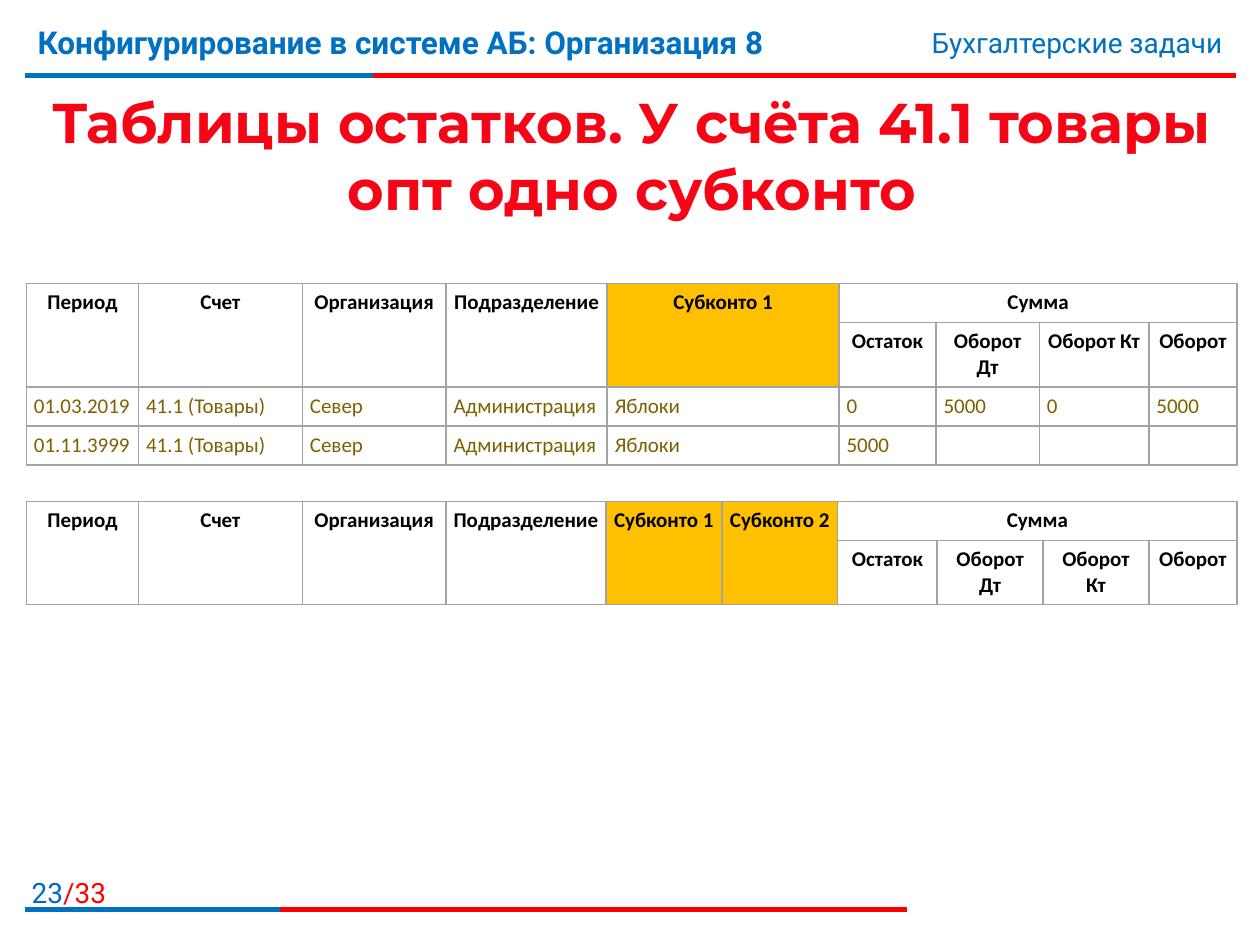
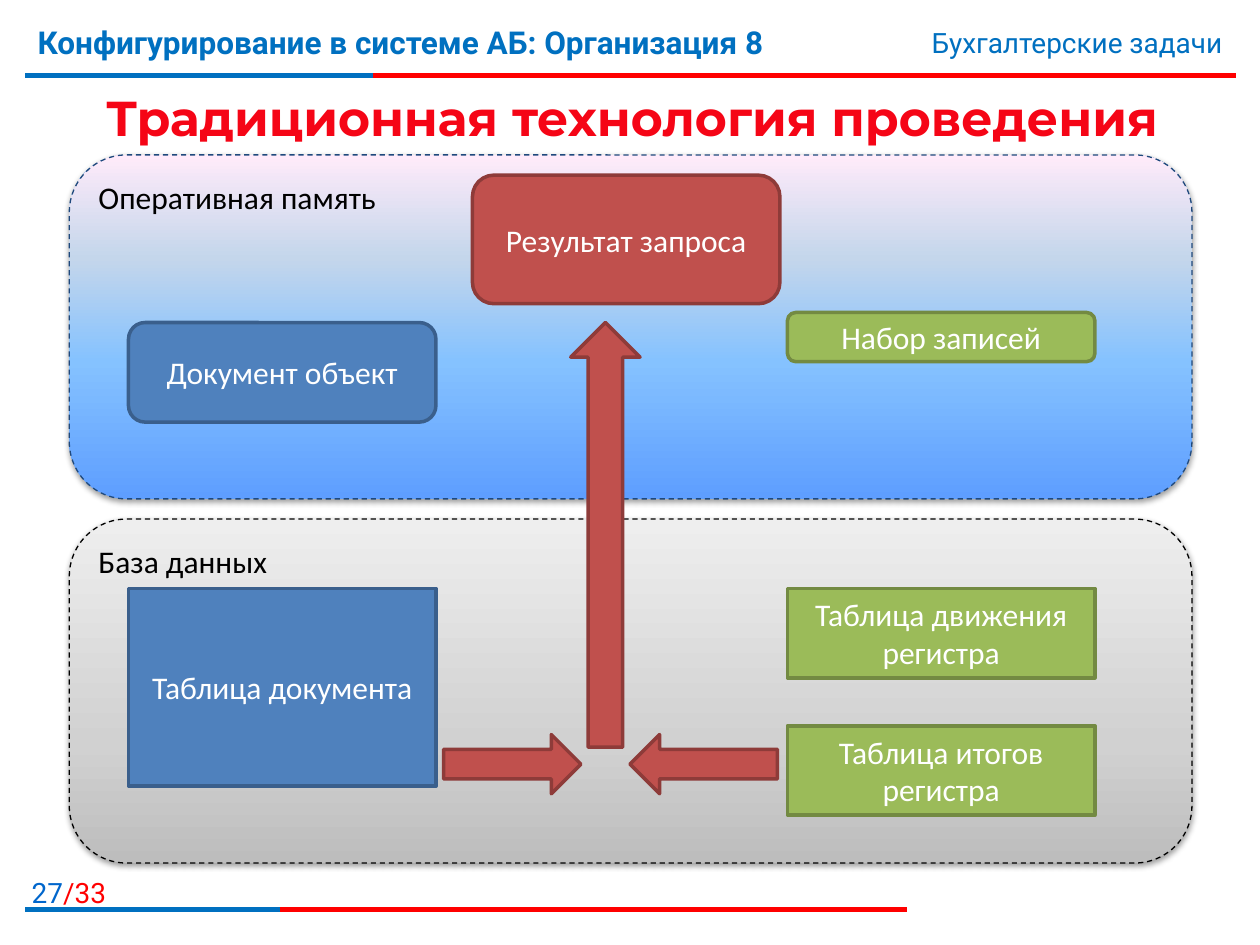
from dataclasses import dataclass

from lxml.etree import SubElement
from pptx import Presentation
from pptx.dml.color import RGBColor
from pptx.enum.dml import MSO_LINE
from pptx.enum.shapes import MSO_CONNECTOR, MSO_SHAPE
from pptx.enum.text import MSO_ANCHOR, PP_ALIGN
from pptx.oxml import parse_xml
from pptx.oxml.ns import nsdecls, qn
from pptx.util import Inches, Pt


@dataclass(frozen=True)
class Theme:
    blue: str = "0070C0"
    page_blue: str = "0066CC"
    red: str = "FF0000"
    title: str = "F50516"
    black: str = "000000"
    white: str = "FFFFFF"
    gold: str = "FFC000"
    data: str = "7F6000"
    border: str = "A3A3A3"
    navy: str = "1F497D"
    # fill and outline of the diagram blocks
    document: tuple = ("4F81BD", "3A5F8C")
    query: tuple = ("C0504D", "8E3B39")
    register: tuple = ("9BBB59", "738A42")
    # gradient stops, from the bottom up
    memory: tuple = ((0, "5E9EFF"), (40, "85C2FF"), (70, "C4D6EB"), (100, "FFEBFA"))
    database: tuple = ((0, "BDBDBD"), (35, "D1D1D1"), (100, "EEEEEE"))
    title_font: str = "Montserrat"
    head_font: str = "Roboto"
    body_font: str = "Calibri"
    head_size: int = 18
    small_size: int = 16
    body_size: int = 18
    table_size: int = 12


T = Theme()
PAGES = 33
CELL_PAD_X, CELL_PAD_Y = 0.06, 0.05
HEAD_ROWS = (0.31, 0.51)
DATA_ROW = 0.31
ACCOUNT_HEADS = ("Период", "Счет", "Организация", "Подразделение")
SUM_HEADS = ("Остаток", "Оборот Дт", "Оборот Кт", "Оборот")


def rgb(color):
    return RGBColor.from_string(color)


def box(x, y, w, h):
    return Inches(x), Inches(y), Inches(w), Inches(h)


def add_run(p, text, font, size, color, bold=False):
    r = p.add_run()
    r.text = text
    r.font.name, r.font.size, r.font.bold = font, Pt(size), bold
    r.font.color.rgb = rgb(color)


def add_text(s, place, runs, align=PP_ALIGN.LEFT, anchor=MSO_ANCHOR.TOP):
    """Each run is (text, font, size, colour[, bold])."""
    tf = s.shapes.add_textbox(*box(*place)).text_frame
    tf.word_wrap = True
    tf.vertical_anchor = anchor
    p = tf.paragraphs[0]
    p.alignment = align
    for run in runs:
        add_run(p, *run)


def add_rule(s, x1, x2, y, color):
    line = s.shapes.add_connector(MSO_CONNECTOR.STRAIGHT, Inches(x1), Inches(y),
                                  Inches(x2), Inches(y))
    line.line.color.rgb = rgb(color)
    line.line.width = Pt(3)
    SubElement(line._element.spPr, qn("a:effectLst"))


def add_band(s, y, blue_end, red_end):
    for end, color in ((red_end, T.red), (blue_end, T.blue)):
        add_rule(s, 0.2, end, y, color)


def add_page(prs, number, title, size, title_height):
    """Add a blank slide with the shared header, footer and title."""
    s = prs.slides.add_slide(prs.slide_layouts[6])
    add_band(s, 0.6, 2.96, 9.81)
    add_text(s, (0, 6.9, 0.94, 0.32),
             [(str(number), T.head_font, T.small_size, T.page_blue),
              (f"/{PAGES}", T.head_font, T.small_size, T.red)], PP_ALIGN.RIGHT)
    add_band(s, 7.22, 2.22, 7.2)
    add_text(s, (0.2, 0.13, 7.4, 0.62),
             [("Конфигурирование в системе АБ: Организация 8", T.head_font,
               T.head_size, T.blue, True)])
    add_text(s, (5.94, 0.15, 3.86, 0.37),
             [("Бухгалтерские задачи", T.head_font, T.small_size, T.blue)],
             PP_ALIGN.RIGHT)
    add_text(s, (0.21, 0.63, 9.61, title_height),
             [(title, T.title_font, size, T.title, True)],
             PP_ALIGN.CENTER, MSO_ANCHOR.MIDDLE)
    return s


def style_cell(cell):
    cell.margin_left = cell.margin_right = Inches(CELL_PAD_X)
    cell.margin_top = cell.margin_bottom = Inches(CELL_PAD_Y)
    pr = cell._tc.get_or_add_tcPr()
    for side in ("lnL", "lnR", "lnT", "lnB"):
        pr.append(parse_xml(
            f'<a:{side} {nsdecls("a")} w="12700"><a:solidFill>'
            f'<a:srgbClr val="{T.border}"/></a:solidFill></a:{side}>'))
    cell.fill.background()
    end = SubElement(cell.text_frame.paragraphs[0]._p, qn("a:endParaRPr"))
    end.set("sz", str(T.table_size * 100))


def fill_cell(cell, text, head=False):
    p = cell.text_frame.paragraphs[0]
    p.alignment = PP_ALIGN.CENTER if head else PP_ALIGN.LEFT
    if text:
        add_run(p, text, T.body_font, T.table_size, T.black if head else T.data, head)


def add_balance_table(s, y, widths, subcontos, records=()):
    """Two header rows, the sums under one heading, then the records."""
    heights = HEAD_ROWS + (DATA_ROW,) * len(records)
    table = s.shapes.add_table(len(heights), len(widths),
                               *box(0.21, y, sum(widths), sum(heights))).table
    table.first_row = table.horz_banding = False
    for column, width in zip(table.columns, widths):
        column.width = Inches(width)
    for row, height in zip(table.rows, heights):
        row.height = Inches(height)
    for cell in table.iter_cells():
        style_cell(cell)

    heads = ACCOUNT_HEADS + subcontos
    for col, text in enumerate(heads):
        cell = table.cell(0, col)
        cell.merge(table.cell(1, col))
        fill_cell(cell, text, True)
        if text in subcontos:
            for row in (0, 1):
                table.cell(row, col).fill.solid()
                table.cell(row, col).fill.fore_color.rgb = rgb(T.gold)
    first_sum = len(heads)
    table.cell(0, first_sum).merge(table.cell(0, len(widths) - 1))
    fill_cell(table.cell(0, first_sum), "Сумма", True)
    for col, text in enumerate(SUM_HEADS, first_sum):
        fill_cell(table.cell(1, col), text, True)
    for row, record in enumerate(records, len(HEAD_ROWS)):
        for col, text in enumerate(record):
            fill_cell(table.cell(row, col), text)


def add_zone(s, y, label, stops, outline):
    """Dashed rounded panel with a vertical gradient and a soft shadow."""
    zone = s.shapes.add_shape(MSO_SHAPE.ROUNDED_RECTANGLE, *box(0.55, y, 8.91, 2.73))
    zone.line.color.rgb = rgb(outline)
    zone.line.width = Pt(0.75)
    zone.line.dash_style = MSO_LINE.DASH
    zone.fill.background()
    sp_pr = zone._element.spPr
    gs = "".join(f'<a:gs pos="{pos * 1000}"><a:srgbClr val="{color}"/></a:gs>'
                 for pos, color in stops)
    sp_pr.replace(sp_pr.find(qn("a:noFill")), parse_xml(
        f'<a:gradFill {nsdecls("a")} rotWithShape="1"><a:gsLst>{gs}</a:gsLst>'
        '<a:lin ang="16200000" scaled="0"/></a:gradFill>'))
    zone.shadow.inherit = False
    sp_pr.find(qn("a:effectLst")).append(parse_xml(
        f'<a:outerShdw {nsdecls("a")} blurRad="40000" dist="20000" dir="5400000" '
        f'rotWithShape="0"><a:srgbClr val="{T.black}"><a:alpha val="38000"/>'
        '</a:srgbClr></a:outerShdw>'))
    tf = zone.text_frame
    tf.vertical_anchor = MSO_ANCHOR.TOP
    p = tf.paragraphs[0]
    p.alignment = PP_ALIGN.LEFT
    add_run(p, label, T.body_font, T.body_size, T.black)


def add_block(s, kind, place, colors, text=""):
    fill, outline = colors
    block = s.shapes.add_shape(kind, *box(*place))
    block.shadow.inherit = False
    block.fill.solid()
    block.fill.fore_color.rgb = rgb(fill)
    block.line.color.rgb = rgb(outline)
    block.line.width = Pt(2)
    if text:
        tf = block.text_frame
        tf.word_wrap = True
        tf.vertical_anchor = MSO_ANCHOR.MIDDLE
        p = tf.paragraphs[0]
        p.alignment = PP_ALIGN.CENTER
        add_run(p, text, T.body_font, T.body_size, T.white)


def build_balances(prs):
    s = add_page(prs, 23, "Таблицы остатков. У счёта 41.1 товары опт одно субконто",
                 32, 1.2)
    goods = ("41.1 (Товары)", "Север", "Администрация", "Яблоки")
    add_balance_table(
        s, 2.25, (0.89, 1.3, 1.14, 1.28, 1.84, 0.77, 0.82, 0.87, 0.7),
        ("Субконто 1",),
        [("01.03.2019", *goods, "0", "5000", "0", "5000"),
         ("01.11.3999", *goods, "5000", "", "", "")])
    add_balance_table(
        s, 3.98, (0.89, 1.3, 1.14, 1.27, 0.92, 0.92, 0.79, 0.84, 0.84, 0.7),
        ("Субконто 1", "Субконто 2"))


def build_posting(prs):
    s = add_page(prs, 27, "Традиционная технология проведения", 28, 0.6)
    add_zone(s, 1.23, "Оперативная память", T.memory, T.navy)
    add_zone(s, 4.12, "База данных", T.database, T.black)

    rounded, rect = MSO_SHAPE.ROUNDED_RECTANGLE, MSO_SHAPE.RECTANGLE
    left, middle, right, width = 1.02, 3.75, 6.25, 2.44
    for kind, x, y, height, colors, text in (
            (rounded, left, 2.56, 0.79, T.document, "Документ объект"),
            (rect, left, 4.67, 1.57, T.document, "Таблица документа"),
            (rounded, middle, 1.39, 1.02, T.query, "Результат запроса"),
            (rect, right, 4.67, 0.71, T.register, "Таблица движения регистра"),
            (rounded, right, 2.48, 0.39, T.register, "Набор записей"),
            (rect, right, 5.76, 0.71, T.register, "Таблица итогов регистра")):
        add_block(s, kind, (x, y, width, height), colors, text)
    for kind, place in ((MSO_SHAPE.RIGHT_ARROW, (3.52, 5.83, 1.09, 0.47)),
                        (MSO_SHAPE.LEFT_ARROW, (5, 5.83, 1.17, 0.47)),
                        (MSO_SHAPE.UP_ARROW, (4.53, 2.56, 0.55, 3.37))):
        add_block(s, kind, place, T.query)


def main():
    prs = Presentation()
    prs.slide_width, prs.slide_height = Inches(10), Inches(7.5)
    build_balances(prs)
    build_posting(prs)
    prs.save("out.pptx")


if __name__ == "__main__":
    main()
